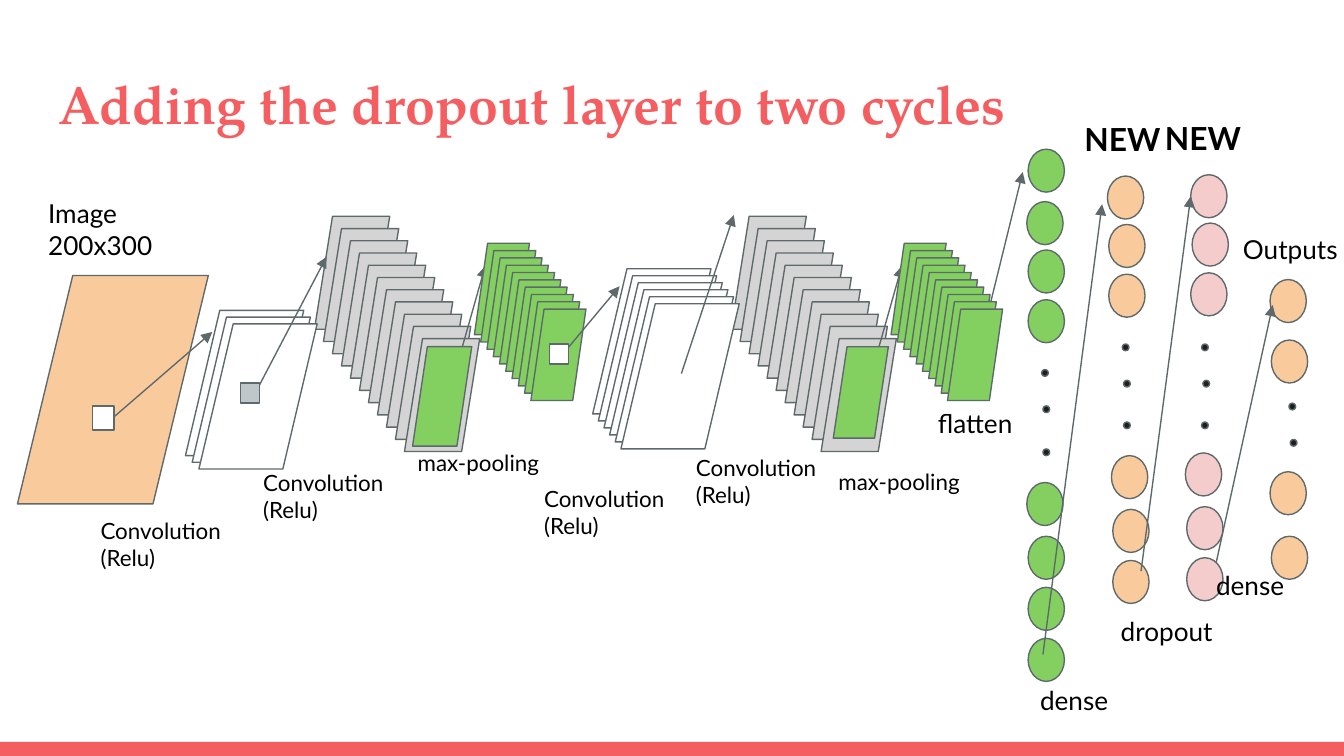
import dataclasses

import lxml.etree
import pptx
import pptx.dml.color
import pptx.enum.shapes
import pptx.oxml.ns
import pptx.slide
import pptx.util

EMU_PER_PX = 9144  # 100 px to the inch
COLORS = {
    "coral": "F55E61", "black": "000000", "outline": "5E696C",
    "white": "FFFFFF", "gray": "D4D4D4", "kernel": "BFC7CA",
    "green": "83D061", "orange": "F9CB9C", "pink": "F4CCCC", "dot": "1E1E1E",
}
SHAPES = pptx.enum.shapes.MSO_SHAPE
Point = tuple[int, int]


@dataclasses.dataclass
class Stack:
    first: Point
    last: Point
    count: int
    size: Point
    color: str
    slant: float


@dataclasses.dataclass
class Layer:
    color: str
    nodes: list[Point]
    dots: list[Point]


@dataclasses.dataclass
class Arrow:
    start: Point
    end: Point


@dataclasses.dataclass
class Label:
    lines: list[str]
    position: Point
    size: Point
    points: float = 14
    bold: bool = False
    font: str = "Lato"
    color: str = "black"


@dataclasses.dataclass
class Cycle:
    """Convolution maps, an arrow, pooled maps and the pooling window."""
    maps: Stack
    arrow: Arrow
    pooled: Stack
    window: Stack


def convolution(position: Point) -> Label:
    return Label(["Convolution", "(Relu)"], position, (113, 61), 12)


def max_pooling(position: Point) -> Label:
    return Label(["max-pooling"], position, (120, 40), 12)


def sheet(position: Point, size: Point, color: str, slant: float) -> Stack:
    return Stack(position, position, 1, size, color, slant)


def cycle(left: int, window_left: int, window_size: Point) -> Cycle:
    """Lay out one cycle from the left edge of its convolution maps."""
    return Cycle(
        Stack((left, 161), (left + 67, 252), 11, (56, 84), "gray", 0.24),
        Arrow((left + 99, 297), (left + 127, 198)),
        Stack((left + 119, 181), (left + 161, 230), 10, (41, 68), "green", 0.24),
        sheet((window_left, 258), window_size, "green", 0.25),
    )


IMAGE = sheet((13, 205), (142, 170), "orange", 0.29)
FIRST_FILTERS = Stack((138, 231), (148, 241), 3, (88, 108), "white", 0.29)
SECOND_FILTERS = Stack((441, 200), (462, 226), 6, (88, 108), "white", 0.29)
FIRST_CYCLE = cycle(234, 307, (44, 74))
SECOND_CYCLE = cycle(544, 620, (41, 68))

DENSE = Layer(
    "green",
    [(765, 111), (764, 150), (765, 186), (765, 223),
     (764, 359), (765, 399), (765, 437), (765, 475)],
    [(775, 275), (776, 302), (776, 334)],
)
DROPOUT = Layer(
    "orange",
    [(824, 131), (825, 167), (825, 204), (827, 339), (828, 379), (828, 417)],
    [(835, 256), (836, 283), (836, 314)],
)
SECOND_DENSE = Layer(
    "pink",
    [(886, 130), (887, 166), (886, 203), (882, 337), (883, 377), (883, 415)],
    [(894, 256), (895, 283), (894, 314)],
)
OUTPUTS = Layer(
    "orange",
    [(945, 208), (946, 253), (945, 351), (946, 399)],
    [(959, 300), (960, 327)],
)

LABELS = [
    Label(["Adding the dropout layer to two cycles"], (34, 43), (932, 68),
          28.8, True, "TeX Gyre Pagella", "coral"),
    Label(["Image 200x300"], (26, 137), (142, 67)),
    convolution((65, 375)),
    convolution((186, 339)),
    convolution((395, 351)),
    convolution((508, 328)),
    max_pooling((301, 324)),
    max_pooling((614, 338)),
    Label(["flatten"], (688, 293), (88, 44)),
    Label(["dropout"], (824, 448), (113, 44)),
    Label(["dense"], (764, 499), (113, 44)),
    Label(["dense"], (895, 414), (113, 44)),
    Label(["Outputs"], (915, 164), (136, 114)),
    Label(["NEW"], (857, 78), (86, 49), 17, True),
    Label(["NEW"], (797, 79), (86, 49), 17, True),
]


def px(value: float) -> pptx.util.Emu:
    return pptx.util.Emu(round(value * EMU_PER_PX))


def rgb(name: str) -> pptx.dml.color.RGBColor:
    return pptx.dml.color.RGBColor.from_string(COLORS[name])


def draw_shape(slide: pptx.slide.Slide, kind: SHAPES, position: tuple[float, float],
               size: Point, color: str, slant: float = 0, outlined: bool = True) -> None:
    shape = slide.shapes.add_shape(kind, *map(px, (*position, *size)))
    shape.shadow.inherit = False
    shape.fill.solid()
    shape.fill.fore_color.rgb = rgb(color)
    if outlined:
        shape.line.color.rgb = rgb("outline")
        shape.line.width = pptx.util.Pt(0.75)
    else:
        shape.line.fill.background()
    if slant:
        shape.adjustments[0] = slant


def draw_stack(slide: pptx.slide.Slide, stack: Stack) -> None:
    for index in range(stack.count):
        share = index / max(stack.count - 1, 1)
        left, top = (a + (b - a) * share for a, b in zip(stack.first, stack.last))
        draw_shape(slide, SHAPES.PARALLELOGRAM, (left, top), stack.size,
                   stack.color, stack.slant)


def draw_arrow(slide: pptx.slide.Slide, arrow: Arrow) -> None:
    connector = slide.shapes.add_connector(
        pptx.enum.shapes.MSO_CONNECTOR.STRAIGHT, *map(px, (*arrow.start, *arrow.end)))
    connector.line.color.rgb = rgb("outline")
    connector.line.width = pptx.util.Pt(0.75)
    qn = pptx.oxml.ns.qn
    properties = connector.element.find(qn("p:spPr"))
    line = properties.find(qn("a:ln"))
    lxml.etree.SubElement(line, qn("a:tailEnd"), type="triangle")
    lxml.etree.SubElement(properties, qn("a:effectLst"))


def draw_cycle(slide: pptx.slide.Slide, item: Cycle) -> None:
    draw_stack(slide, item.maps)
    draw_arrow(slide, item.arrow)
    draw_stack(slide, item.pooled)
    draw_stack(slide, item.window)


def draw_layer(slide: pptx.slide.Slide, layer: Layer) -> None:
    for node in layer.nodes:
        draw_shape(slide, SHAPES.OVAL, node, (27, 32), layer.color)
    for dot in layer.dots:
        draw_shape(slide, SHAPES.OVAL, dot, (5, 5), "dot")


def draw_label(slide: pptx.slide.Slide, label: Label) -> None:
    box = slide.shapes.add_textbox(*map(px, (*label.position, *label.size)))
    frame = box.text_frame
    frame.word_wrap = True
    frame.margin_left = frame.margin_right = px(10)
    frame.margin_top = frame.margin_bottom = px(10)
    frame.text = "\n".join(label.lines)
    for paragraph in frame.paragraphs:
        paragraph.font.name = label.font
        paragraph.font.size = pptx.util.Pt(label.points)
        paragraph.font.bold = label.bold
        paragraph.font.color.rgb = rgb(label.color)


def main() -> None:
    presentation = pptx.Presentation()
    presentation.slide_width = px(1000)
    presentation.slide_height = px(1000 * 9 / 16)
    slide = presentation.slides.add_slide(presentation.slide_layouts[6])
    draw_shape(slide, SHAPES.RECTANGLE, (0, 552), (1000, 11), "coral", outlined=False)

    draw_stack(slide, IMAGE)
    draw_cycle(slide, FIRST_CYCLE)
    draw_stack(slide, FIRST_FILTERS)
    draw_arrow(slide, Arrow((728, 262), (761, 128)))
    draw_cycle(slide, SECOND_CYCLE)
    draw_stack(slide, SECOND_FILTERS)
    for arrow in (Arrow((85, 310), (158, 247)), Arrow((186, 300), (243, 191)),
                  Arrow((420, 262), (461, 213)), Arrow((507, 278), (546, 160))):
        draw_arrow(slide, arrow)
    draw_shape(slide, SHAPES.RECTANGLE, (69, 302), (16, 18), "white")
    draw_shape(slide, SHAPES.RECTANGLE, (179, 285), (14, 15), "kernel")
    draw_shape(slide, SHAPES.RECTANGLE, (409, 256), (14, 15), "white")

    draw_layer(slide, OUTPUTS)
    draw_arrow(slide, Arrow((902, 432), (947, 227)))
    for layer in (DENSE, DROPOUT, SECOND_DENSE):
        draw_layer(slide, layer)
    draw_arrow(slide, Arrow((776, 487), (820, 152)))
    draw_arrow(slide, Arrow((849, 425), (886, 146)))
    for label in LABELS:
        draw_label(slide, label)
    presentation.save("out.pptx")


if __name__ == "__main__":
    main()
